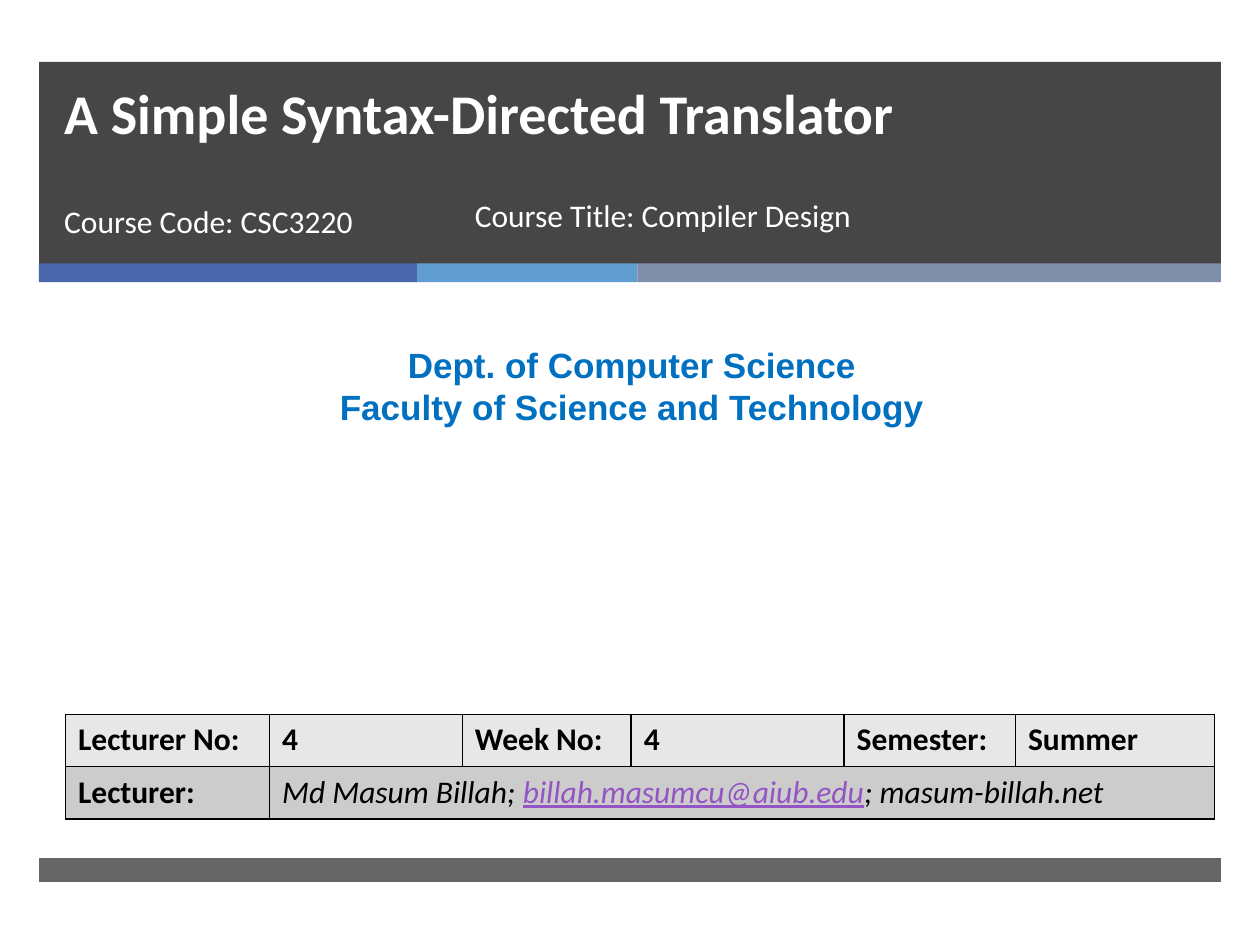
from lxml.etree import SubElement
from pptx import Presentation
from pptx.dml.color import RGBColor
from pptx.enum.shapes import MSO_SHAPE
from pptx.enum.text import MSO_ANCHOR, MSO_AUTO_SIZE, PP_ALIGN
from pptx.oxml.ns import qn
from pptx.util import Pt

PX = 9144  # 100 px to the inch
COLORS = {
    "dark": "262626", "blue": "4A66AC", "sky": "629DD1", "slate": "7F8FA9",
    "dept": "0070C0", "mail": "9454C3", "white": "FFFFFF", "black": "000000",
    "row1": "E7E7E7", "row2": "CCCCCC",
}


def rgb(name):
    return RGBColor.from_string(COLORS[name])


def add_run(p, text, color, **fmt):
    r = p.add_run()
    r.text = text
    r.font.color.rgb = rgb(color)
    for key, value in fmt.items():
        setattr(r.font, key, value)


prs = Presentation()
prs.slide_width, prs.slide_height = 1000 * PX, 750 * PX
s = prs.slides.add_slide(prs.slide_layouts[0])
title, code = s.placeholders

# Header band, colour strip and footer band
bands = [
    (31, 49, 938, 161, "dark", 85),
    (31, 209, 300, 15, "blue", 100),
    (331, 209, 175, 15, "sky", 100),
    (506, 209, 463, 15, "slate", 100),
    (31, 681, 938, 19, "dark", 70),
]
for *box, color, opacity in bands:
    sp = s.shapes.add_shape(MSO_SHAPE.RECTANGLE, *(v * PX for v in box))
    sp.shadow.inherit = False
    sp.fill.solid()
    sp.fill.fore_color.rgb = rgb(color)
    sp.line.fill.background()
    if opacity < 100:
        clr = sp.fill._xPr.find(".//" + qn("a:srgbClr"))
        SubElement(clr, qn("a:alpha"), val=str(opacity * 1000))
    # keep the bands behind the placeholders
    title._element.addprevious(sp._element)

# Title, course lines and department
course = s.shapes.add_textbox(0, 0, PX, PX)
dept = s.shapes.add_textbox(0, 0, PX, PX)
body = {"name": "Calibri", "size": Pt(18)}
heading = {"name": "Calibri", "size": Pt(32), "bold": True}
dept_fmt = {"name": "Arial", "size": Pt(20), "bold": True}
texts = [
    (title, (41, 2, 854, 119), ["A Simple Syntax-Directed Translator"],
     "white", heading, PP_ALIGN.LEFT, MSO_ANCHOR.BOTTOM),
    (code, (41, 155, 305, 53), ["Course Code: CSC3220"],
     "white", body, PP_ALIGN.LEFT, MSO_ANCHOR.TOP),
    (course, (367, 151, 455, 53), ["Course Title: Compiler Design"],
     "white", body, PP_ALIGN.LEFT, MSO_ANCHOR.TOP),
    (dept, (8, 268, 987, 77), ["Dept. of Computer Science", "Faculty of Science and Technology"],
     "dept", dept_fmt, PP_ALIGN.CENTER, MSO_ANCHOR.TOP),
]
for sp, box, lines, color, fmt, align, anchor in texts:
    sp.left, sp.top, sp.width, sp.height = (v * PX for v in box)
    tf = sp.text_frame
    tf.word_wrap = True
    tf.auto_size = MSO_AUTO_SIZE.NONE
    tf.vertical_anchor = anchor
    for i, line in enumerate(lines):
        p = tf.add_paragraph() if i else tf.paragraphs[0]
        p.alignment = align
        p.space_before = Pt(0)
        add_run(p, line, color, **fmt)
title.text_frame.paragraphs[0].line_spacing = Pt(46)

# Lecture table
widths = [162, 153, 134, 169, 136, 158]
bold = {**body, "bold": True}
italic = {**body, "bold": False, "italic": True}
labels = ["Lecturer No:", "4", "Week No:", "4", "Semester:", "Summer"]
lecturer = [
    ("Md Masum Billah; ", "black", italic),
    ("billah.masumcu@aiub.edu", "mail", {**italic, "underline": True}),
    ("; masum-billah.net", "black", italic),
]
rows = [
    [[(label, "black", bold)] for label in labels],
    [[("Lecturer:", "black", bold)], lecturer],
]
table = s.shapes.add_table(2, 6, 52 * PX, 567 * PX, sum(widths) * PX, 83 * PX).table
for col, width in zip(table.columns, widths):
    col.width = width * PX
for i, (row, fill) in enumerate(zip(rows, ["row1", "row2"])):
    table.rows[i].height = 83 * PX // 2
    for cell in table.rows[i].cells:
        tcPr = cell._tc.get_or_add_tcPr()
        for side in ("lnL", "lnR", "lnT", "lnB"):
            ln = SubElement(tcPr, qn("a:" + side), w=str(Pt(1)))
            SubElement(SubElement(ln, qn("a:solidFill")), qn("a:srgbClr"), val=COLORS["black"])
        cell.fill.solid()
        cell.fill.fore_color.rgb = rgb(fill)
    for j, runs in enumerate(row):
        for text, color, fmt in runs:
            add_run(table.cell(i, j).text_frame.paragraphs[0], text, color, **fmt)
table.cell(1, 1).merge(table.cell(1, 5))

prs.save("out.pptx")
